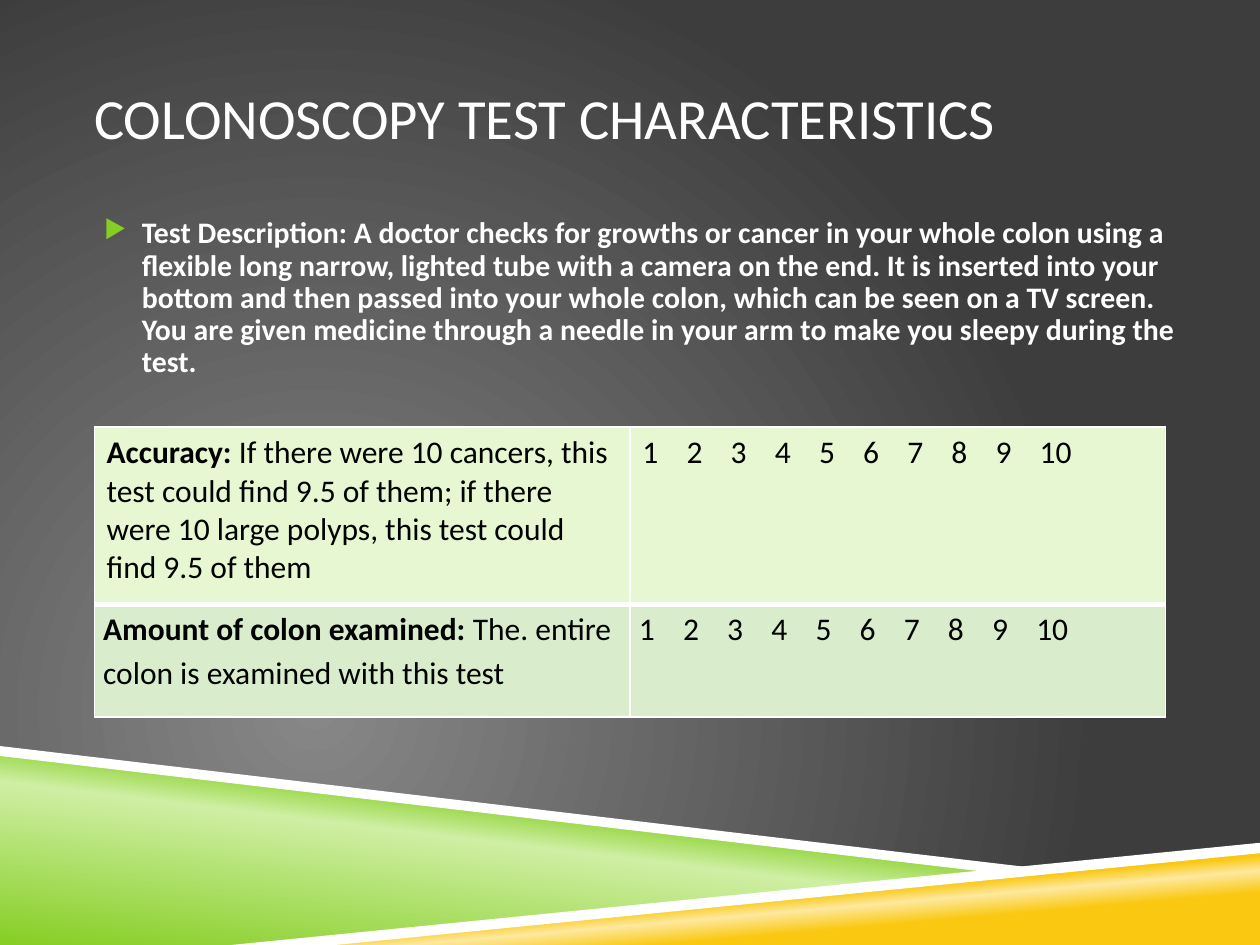
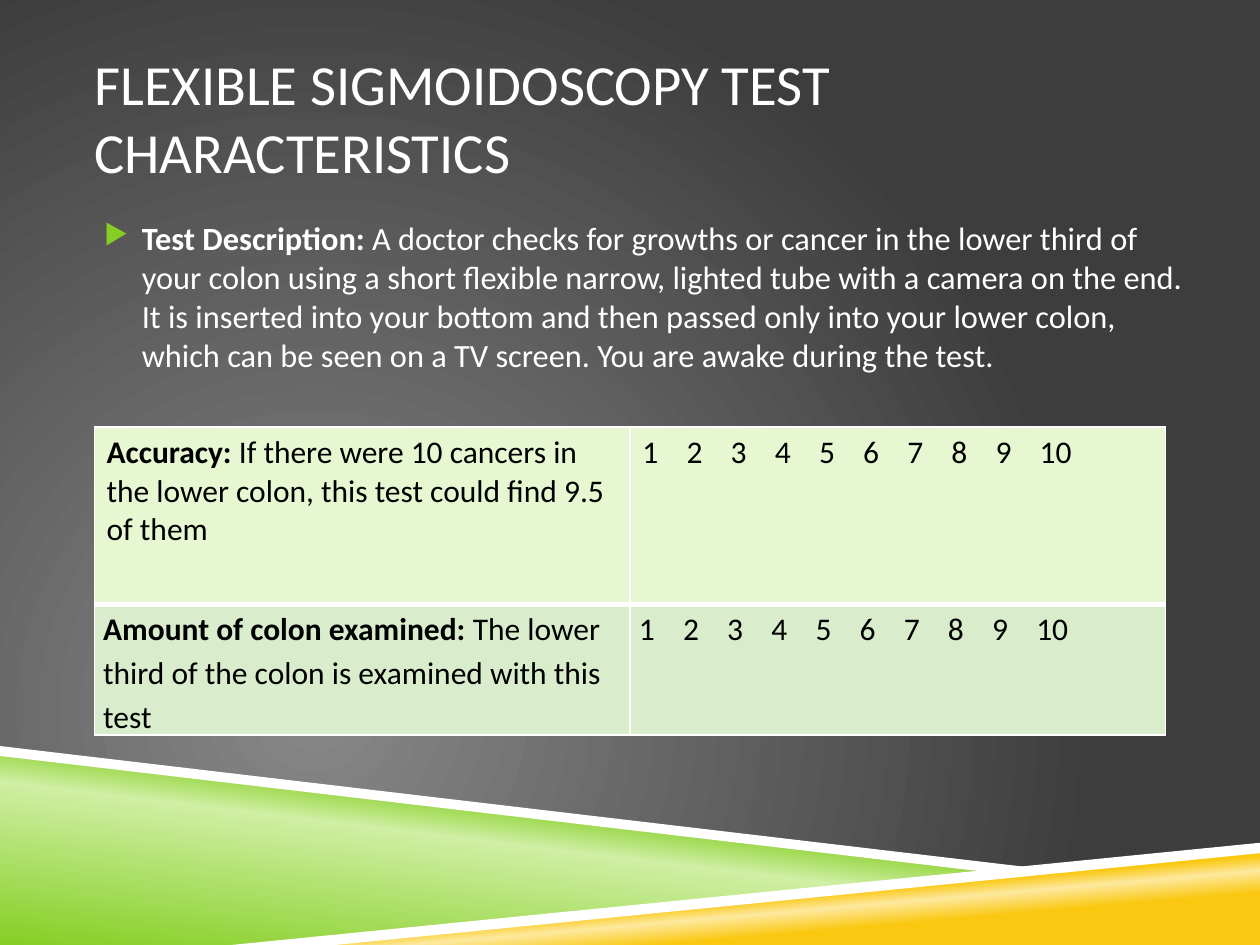
from dataclasses import dataclass
from typing import NamedTuple

from pptx import Presentation
from pptx import util as u
from pptx.dml.color import RGBColor
from pptx.enum import text
from pptx.oxml import parse_xml
from pptx.oxml.ns import nsdecls, qn

Cm, Pt = u.Cm, u.Pt


@dataclass(frozen=True)
class Theme:
    font: str = "Calibri"
    white: str = "FFFFFF"
    black: str = "000000"
    green: str = "86CE24"
    pale_green: str = "CFEFA4"
    gold: str = "FAC810"
    pale_gold: str = "FDE99F"
    grey: str = "878787"
    dark_grey: str = "3D3D3D"
    row_light: str = "E7F7D1"
    row_dark: str = "D9EDCD"
    title_size: float = 32.4
    cell_size: float = 18


T = Theme()


class Span(NamedTuple):
    words: str
    bold: bool = False


class Box(NamedTuple):
    left: float
    top: float
    width: float
    height: float


class Gradient(NamedTuple):
    stops: tuple[tuple[int, str], ...]
    direction: str


class Band(NamedTuple):
    points: tuple[tuple[float, float], ...]
    fill: str | Gradient


class RowStyle(NamedTuple):
    height: float
    fill: str
    margin_x: float
    margin_y: float
    spacing: float
    top_line: float
    bottom_line: float


class TestSlide(NamedTuple):
    title: str
    description: tuple[Span, ...]
    size: float
    spacing: float
    accuracy: str
    amount: str


# Shared geometry, in centimetres
WIDTH, HEIGHT = 25.4, 19.05
TITLE = Box(1.9, 0.76, 21.6, 3.18)
BODY = Box(1.9, 4.27, 22.25, 3.99)
TABLE = Box(1.9, 8.61, 21.6, 5.84)
SCALE_STEP = 0.89
SCALE = "\t".join(str(n) for n in range(1, 11))

BACKDROP = Gradient(
    ((0, T.grey), (100, T.dark_grey)),
    '<a:path path="circle"><a:fillToRect l="50000" t="100000" '
    'r="100000" b="50000"/></a:path>')
GOLD = Gradient(
    ((28, T.gold), (40, T.pale_gold), (48, T.gold)),
    f'<a:lin ang="{265 * 60000}" scaled="0"/>')
GREEN = Gradient(
    ((0, T.green), (52, T.pale_green), (66, T.green)),
    f'<a:lin ang="{277 * 60000}" scaled="0"/>')

BANDS = (
    Band(((5.03, HEIGHT), (WIDTH, 17.07), (WIDTH, HEIGHT)), GOLD),
    Band(((0, 15.16), (20.12, 17.58), (5.08, HEIGHT), (0, HEIGHT)), GREEN),
    Band(((0, 15.04), (0, 15.24), (20.07, 17.6), (21.13, 17.53)), T.white),
    Band(((WIDTH, 16.99), (4.67, HEIGHT), (6.76, HEIGHT), (WIDTH, 17.2)),
         T.white),
)
ROWS = (
    RowStyle(3.58, T.row_light, 0.25, 0.13, 1.0, 1, 3),
    RowStyle(2.26, T.row_dark, 0.18, 0, 1.15, 3, 1),
)

SLIDES = (
    TestSlide(
        "COLONOSCOPY TEST CHARACTERISTICS",
        (Span("Test Description: A doctor checks for growths or cancer in "
              "your whole colon using a flexible long narrow, lighted tube "
              "with a camera on the end. It is inserted into your bottom and "
              "then passed into your whole colon, which can be seen on a TV "
              "screen. You are given medicine through a needle in your arm "
              "to make you sleepy during the test.", True),),
        17, 0.9,
        "If there were 10 cancers, this test could find 9.5 of them; if there "
        "were 10 large polyps, this test could find 9.5 of them",
        "The. entire colon is examined with this test"),
    TestSlide(
        "FLEXIBLE SIGMOIDOSCOPY TEST CHARACTERISTICS",
        (Span("Test Description: ", True),
         Span("A doctor checks for growths or cancer in the lower third of "
              "your colon using a short flexible narrow, lighted tube with a "
              "camera on the end. It is inserted into your bottom and then "
              "passed only into your lower colon, which can be seen on a TV "
              "screen. You are awake during the test.")),
        18.5, 1.0,
        "If there were 10 cancers in the lower colon, this test could find "
        "9.5 of them",
        "The lower third of the colon is examined with this test"),
)


def set_gradient(fill, owner, gradient: Gradient) -> None:
    """Fill the owner element with the given stops and direction."""
    fill.gradient()
    old = owner.find(".//" + qn("a:gradFill"))
    stops = "".join(
        f'<a:gs pos="{pos * 1000}"><a:srgbClr val="{color}"/></a:gs>'
        for pos, color in gradient.stops)
    old.getparent().replace(old, parse_xml(
        f'<a:gradFill {nsdecls("a")} rotWithShape="1"><a:gsLst>{stops}'
        f'</a:gsLst>{gradient.direction}</a:gradFill>'))


def add_runs(p, spans: tuple[Span, ...], size: float, color: str) -> None:
    for span in spans:
        r = p.add_run()
        r.text = span.words
        r.font.name = T.font
        r.font.size = Pt(size)
        r.font.bold = span.bold
        r.font.color.rgb = RGBColor.from_string(color)


def add_band(s, band: Band) -> None:
    points = [(Cm(x), Cm(y)) for x, y in band.points]
    builder = s.shapes.build_freeform(*points[0])
    builder.add_line_segments(points[1:], close=True)
    sp = builder.convert_to_shape()
    sp.shadow.inherit = False
    sp.line.fill.background()
    if isinstance(band.fill, Gradient):
        set_gradient(sp.fill, sp._element.spPr, band.fill)
    else:
        sp.fill.solid()
        sp.fill.fore_color.rgb = RGBColor.from_string(band.fill)


def add_text_box(s, box: Box, spans: tuple[Span, ...], size: float):
    tf = s.shapes.add_textbox(*map(Cm, box)).text_frame
    tf.word_wrap = True
    tf.margin_left = tf.margin_right = 0
    tf.margin_top = tf.margin_bottom = Cm(0.13)
    add_runs(tf.paragraphs[0], spans, size, T.white)
    return tf


def add_bullet(p) -> None:
    pPr = p._p.get_or_add_pPr()
    pPr.set("marL", str(Cm(0.96)))
    pPr.set("indent", str(-Cm(0.76)))
    for xml in (f'<a:buClr {nsdecls("a")}><a:srgbClr val="{T.green}"/></a:buClr>',
                f'<a:buSzPct {nsdecls("a")} val="85000"/>',
                f'<a:buChar {nsdecls("a")} char="▶"/>'):
        pPr.append(parse_xml(xml))


def add_scale_tabs(p) -> None:
    stops = "".join(f'<a:tab pos="{Cm(SCALE_STEP * n)}" algn="l"/>'
                    for n in range(1, 10))
    p._p.get_or_add_pPr().append(
        parse_xml(f'<a:tabLst {nsdecls("a")}>{stops}</a:tabLst>'))


def set_borders(cell, style: RowStyle) -> None:
    tcPr = cell._tc.get_or_add_tcPr()
    sides = {"L": 1, "R": 1, "T": style.top_line, "B": style.bottom_line}
    for i, (side, width) in enumerate(sides.items()):
        tcPr.insert(i, parse_xml(
            f'<a:ln{side} {nsdecls("a")} w="{Pt(width)}"><a:solidFill>'
            f'<a:srgbClr val="{T.white}"/></a:solidFill></a:ln{side}>'))


def fill_cell(cell, spans: tuple[Span, ...], style: RowStyle) -> None:
    cell.fill.solid()
    cell.fill.fore_color.rgb = RGBColor.from_string(style.fill)
    cell.margin_left = cell.margin_right = Cm(style.margin_x)
    cell.margin_top = cell.margin_bottom = Cm(style.margin_y)
    set_borders(cell, style)
    p = cell.text_frame.paragraphs[0]
    if spans[0].words == SCALE:
        add_scale_tabs(p)
    p.line_spacing = style.spacing
    add_runs(p, spans, T.cell_size, T.black)


def add_ratings(s, test: TestSlide) -> None:
    table = s.shapes.add_table(len(ROWS), 2, *map(Cm, TABLE)).table
    table.first_row = table.horz_banding = False
    labels = (
        (Span("Accuracy: ", True), Span(test.accuracy)),
        (Span("Amount of colon examined: ", True), Span(test.amount)),
    )
    for row, style, label in zip(table.rows, ROWS, labels):
        row.height = Cm(style.height)
        for cell, spans in zip(row.cells, (label, (Span(SCALE),))):
            fill_cell(cell, spans, style)


def add_test_slide(prs, test: TestSlide) -> None:
    s = prs.slides.add_slide(prs.slide_layouts[6])
    # Backdrop and bands
    set_gradient(s.background.fill, s._element, BACKDROP)
    for band in BANDS:
        add_band(s, band)
    # Title and description
    tf = add_text_box(s, TITLE, (Span(test.title),), T.title_size)
    tf.vertical_anchor = text.MSO_ANCHOR.MIDDLE
    tf = add_text_box(s, BODY, test.description, test.size)
    p = tf.paragraphs[0]
    add_bullet(p)
    p.line_spacing = test.spacing
    # Ratings table
    add_ratings(s, test)


def main() -> None:
    prs = Presentation()
    prs.slide_width, prs.slide_height = Cm(WIDTH), Cm(HEIGHT)
    for test in SLIDES:
        add_test_slide(prs, test)
    prs.save("out.pptx")


if __name__ == "__main__":
    main()
